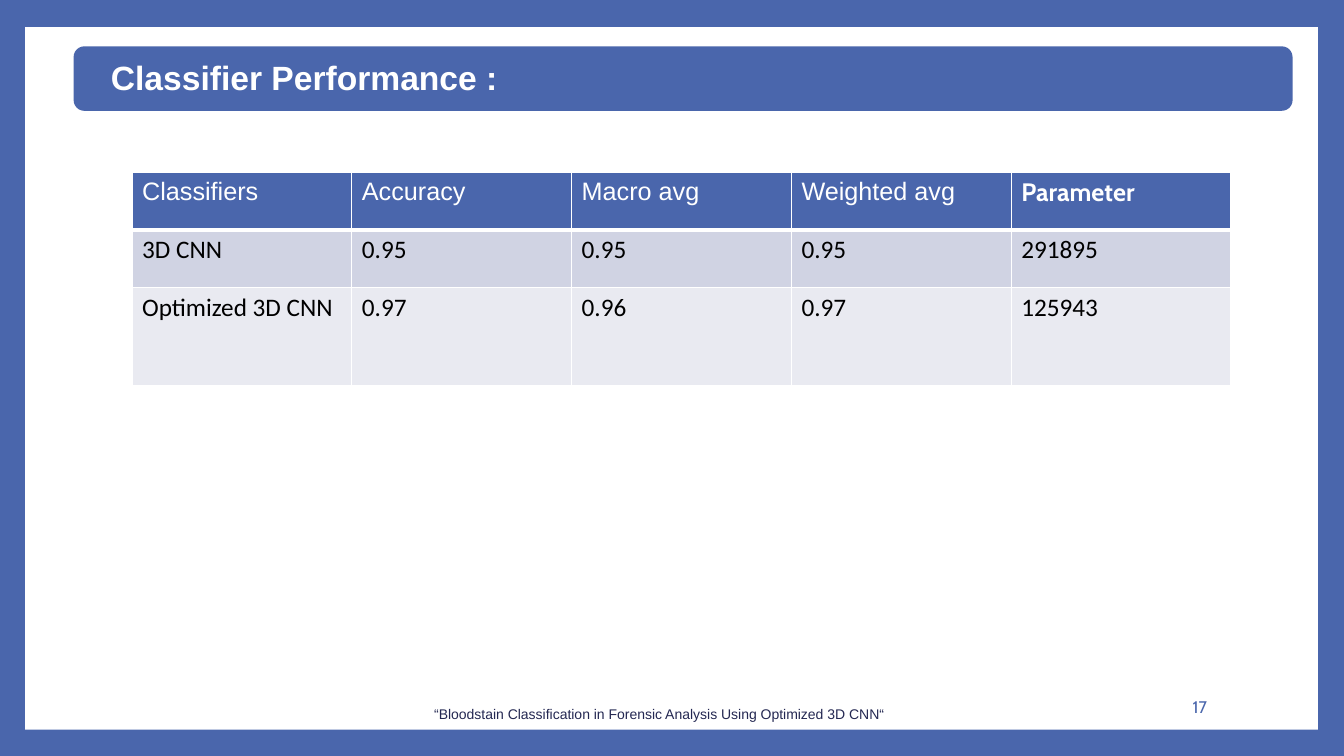
from dataclasses import dataclass

from lxml.etree import SubElement
from pptx import Presentation
from pptx.dml.color import RGBColor
from pptx.enum.shapes import MSO_SHAPE
from pptx.enum.text import MSO_ANCHOR, MSO_AUTO_SIZE, PP_ALIGN
from pptx.oxml.ns import qn
from pptx.util import Inches, Pt


@dataclass(frozen=True)
class Theme:
    """Colours, fonts and type sizes of the slide."""
    blue: str = "4A66AC"
    navy: str = "242852"
    white: str = "FFFFFF"
    black: str = "000000"
    bands: tuple = ("D0D3E3", "E9EAF1")
    sans: str = "Arial"
    accent: str = "Cabin"
    body: str = "Calibri"
    title_size: int = 24
    table_size: int = 18
    number_size: int = 12
    footer_size: int = 10


THEME = Theme()
HEADINGS = ("Classifiers", "Accuracy", "Macro avg", "Weighted avg", "Parameter")
RESULTS = (
    ("3D CNN", "0.95", "0.95", "0.95", "291895"),
    ("Optimized 3D CNN", "0.97", "0.96", "0.97", "125943"),
)
ROW_HEIGHTS = (0.57, 0.57, 0.98)
COLUMN_WIDTH = 2.18


def paint(fill, color):
    """Give a fill one solid colour."""
    fill.solid()
    fill.fore_color.rgb = RGBColor.from_string(color)


def write(frame, text, size, font, color, bold=False, align=PP_ALIGN.LEFT):
    """Add one formatted run to the first paragraph of a text frame."""
    paragraph = frame.paragraphs[0]
    paragraph.alignment = align
    run = paragraph.add_run()
    run.text = text
    run.font.size = Pt(size)
    run.font.name = font
    run.font.bold = bold
    run.font.color.rgb = RGBColor.from_string(color)


def add_block(slide, preset, box, color):
    """Add a filled shape without outline or shadow."""
    block = slide.shapes.add_shape(preset, *map(Inches, box))
    block.shadow.inherit = False
    paint(block.fill, color)
    block.line.fill.background()


def add_label(slide, box, text, size, font, color, align, anchor):
    """Add a wrapped text box with one line of text."""
    frame = slide.shapes.add_textbox(*map(Inches, box)).text_frame
    frame.word_wrap = True
    frame.vertical_anchor = anchor
    write(frame, text, size, font, color, align=align)


def set_title(slide, text):
    """Place the title placeholder on top of its banner."""
    title = slide.shapes.title
    title.left, title.top = Inches(0.98), Inches(0.56)
    title.width, title.height = Inches(11.77), Inches(0.45)
    frame = title.text_frame
    frame.auto_size = MSO_AUTO_SIZE.NONE
    frame.vertical_anchor = MSO_ANCHOR.MIDDLE
    frame.margin_left = frame.margin_right = Inches(0.12)
    frame.margin_top = frame.margin_bottom = Inches(0.12)
    frame.paragraphs[0].line_spacing = 0.9
    write(frame, text, THEME.title_size, THEME.sans, THEME.white, bold=True)
    slide.shapes._spTree.append(title._element)


def set_borders(cell, top, bottom):
    """Draw white borders round a cell, with widths in points."""
    properties = cell._tc.get_or_add_tcPr()
    for side, width in (("L", 1), ("R", 1), ("T", top), ("B", bottom)):
        border = SubElement(properties, qn(f"a:ln{side}"), w=str(Pt(width)))
        solid = SubElement(border, qn("a:solidFill"))
        SubElement(solid, qn("a:srgbClr"), val=THEME.white)


def add_results(slide):
    """Add the table of classifier scores."""
    rows = (HEADINGS,) + RESULTS
    fills = (THEME.blue,) + THEME.bands
    table = slide.shapes.add_table(
        len(rows), len(HEADINGS), Inches(1.31), Inches(1.71),
        Inches(COLUMN_WIDTH * len(HEADINGS)), Inches(sum(ROW_HEIGHTS))).table
    for column in table.columns:
        column.width = Inches(COLUMN_WIDTH)
    for r, (values, height, fill) in enumerate(zip(rows, ROW_HEIGHTS, fills)):
        table.rows[r].height = Inches(height)
        header = r == 0
        color = THEME.white if header else THEME.black
        for c, value in enumerate(values):
            cell = table.cell(r, c)
            set_borders(cell, 3 if r == 1 else 1, 3 if header else 1)
            paint(cell.fill, fill)
            parameter = header and value == "Parameter"
            heading_font = THEME.accent if parameter else THEME.sans
            font = heading_font if header else THEME.body
            write(cell.text_frame, value, THEME.table_size, font, color, parameter)


def main():
    """Build the classifier performance slide."""
    deck = Presentation()
    deck.slide_width, deck.slide_height = Inches(13.33), Inches(7.5)
    slide = deck.slides.add_slide(deck.slide_layouts[5])
    paint(slide.background.fill, THEME.blue)
    add_block(slide, MSO_SHAPE.RECTANGLE, (0.25, 0.27, 12.82, 6.97), THEME.white)
    add_label(slide, (10.2, 6.81, 1.87, 0.4), "17", THEME.number_size,
              THEME.accent, THEME.blue, PP_ALIGN.RIGHT, MSO_ANCHOR.MIDDLE)
    add_block(slide, MSO_SHAPE.ROUNDED_RECTANGLE, (0.73, 0.46, 12.09, 0.64), THEME.blue)
    set_title(slide, "Classifier Performance :")
    add_results(slide)
    add_label(slide, (0.46, 6.95, 12.15, 0.4),
              "“Bloodstain Classification in Forensic Analysis Using Optimized 3D CNN“",
              THEME.footer_size, THEME.sans, THEME.navy, PP_ALIGN.CENTER, MSO_ANCHOR.TOP)
    deck.save("out.pptx")


if __name__ == "__main__":
    main()
